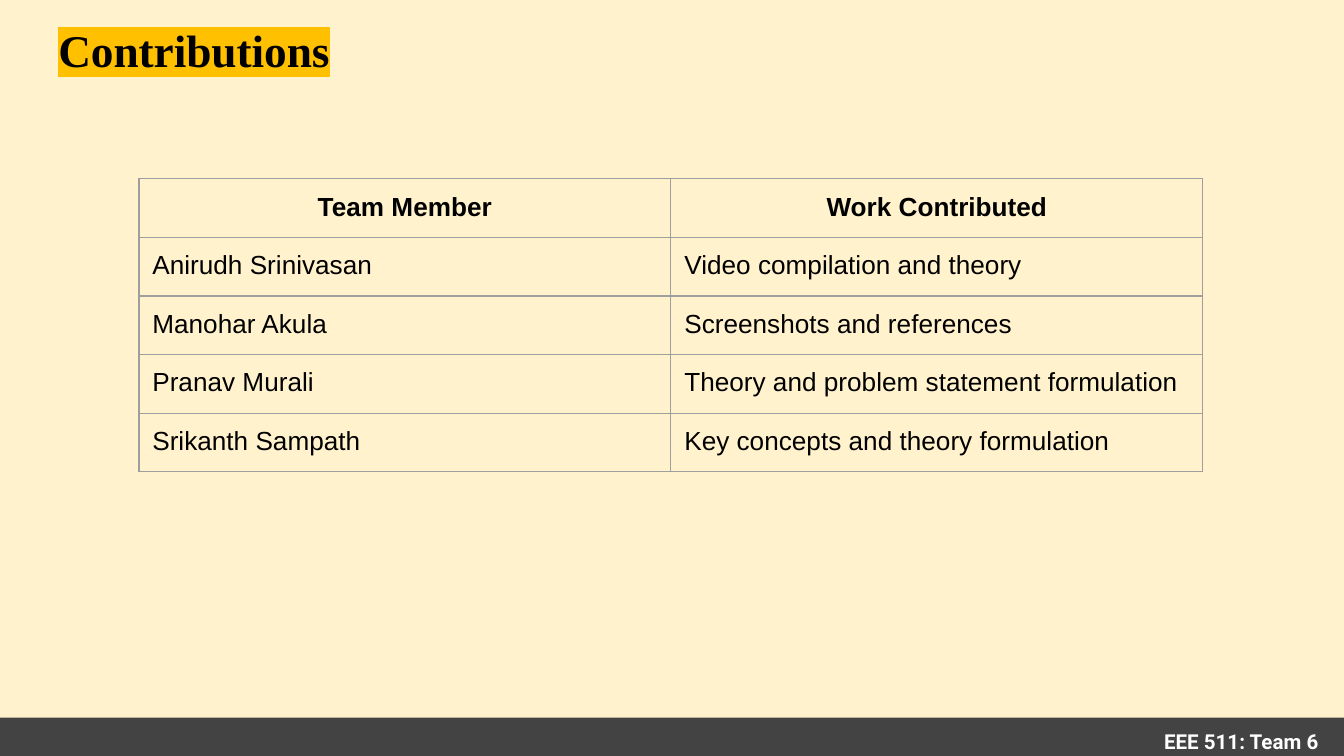
import pptx
import pptx.dml.color
import pptx.enum.shapes
import pptx.enum.text
import pptx.oxml
import pptx.oxml.ns
import pptx.util
from pptx.util import Pt

COLORS = {
    "page": "FFF2CC",
    "highlight": "FFC000",
    "bar": "434343",
    "border": "9E9E9E",
    "ink": "000000",
    "light": "FFFFFF",
}
ALIGN = pptx.enum.text.PP_ALIGN
ANCHOR = pptx.enum.text.MSO_ANCHOR
INSET = 7.2
ROWS = [
    ("Team Member", "Work Contributed"),
    ("Anirudh Srinivasan", "Video compilation and theory"),
    ("Manohar Akula", "Screenshots and references"),
    ("Pranav Murali", "Theory and problem statement formulation"),
    ("Srikanth Sampath", "Key concepts and theory formulation"),
]


def rgb(name):
    """Return the named colour."""
    return pptx.dml.color.RGBColor.from_string(COLORS[name])


def make_element(xml):
    """Parse one drawing element."""
    return pptx.oxml.parse_xml(xml.format(ns=pptx.oxml.ns.nsdecls("a")))


def set_margins(holder):
    """Give a text frame or cell equal insets."""
    for side in ("left", "top", "right", "bottom"):
        setattr(holder, f"margin_{side}", Pt(INSET))


def write_text(frame, text, font, size, color, bold, align):
    """Write one formatted paragraph and return its span."""
    para = frame.paragraphs[0]
    span = para.add_run()
    span.text = text
    para.alignment = align
    para.font.name = font
    para.font.size = Pt(size)
    para.font.bold = bold
    para.font.color.rgb = rgb(color)
    return span


def add_title(page, left, top, width, height):
    """Place the highlighted title."""
    title = page.shapes.title
    title.left, title.top = Pt(left), Pt(top)
    title.width, title.height = Pt(width), Pt(height)
    frame = title.text_frame
    frame.auto_size = pptx.enum.text.MSO_AUTO_SIZE.NONE
    frame.word_wrap = True
    frame.vertical_anchor = ANCHOR.BOTTOM
    set_margins(frame)
    span = write_text(frame, "Contributions", "Times New Roman", 24.3, "ink", True, ALIGN.LEFT)
    highlight = '<a:highlight {ns}><a:srgbClr val="%s"/></a:highlight>' % COLORS["highlight"]
    span.font.color.rgb = rgb("ink")
    span.font.fill._xPr.append(make_element(highlight))


def add_border(cell):
    """Draw a thin line on every side of a cell."""
    properties = cell._tc.get_or_add_tcPr()
    for index, side in enumerate(("lnL", "lnR", "lnT", "lnB")):
        line = make_element(
            f'<a:{side} {{ns}} w="{Pt(0.75)}"><a:solidFill>'
            f'<a:srgbClr val="{COLORS["border"]}"/></a:solidFill></a:{side}>'
        )
        properties.insert(index, line)


def add_contributions(page, left, top, width, height):
    """Place the table of members and their work."""
    table = page.shapes.add_table(
        len(ROWS), len(ROWS[0]), Pt(left), Pt(top), Pt(width), Pt(height)
    ).table
    table.horz_banding = False
    for row_index, texts in enumerate(ROWS):
        header = row_index == 0
        for column_index, text in enumerate(texts):
            cell = table.cell(row_index, column_index)
            cell.fill.background()
            set_margins(cell)
            add_border(cell)
            align = ALIGN.CENTER if header else ALIGN.LEFT
            write_text(cell.text_frame, text, "Arial", 14, "ink", header, align)


def add_footer(page, left, top, width, height):
    """Place the dark bar with the team label at its right end."""
    bar = page.shapes.add_shape(
        pptx.enum.shapes.MSO_SHAPE.RECTANGLE, Pt(left), Pt(top), Pt(width), Pt(height)
    )
    bar.shadow.inherit = False
    bar.fill.solid()
    bar.fill.fore_color.rgb = rgb("bar")
    bar.line.fill.background()
    label_width = 108
    label = page.shapes.add_textbox(
        Pt(left + width - label_width - 6.5), Pt(top - 0.7), Pt(label_width), Pt(23.8)
    )
    frame = label.text_frame
    frame.word_wrap = True
    set_margins(frame)
    write_text(frame, "EEE 511: Team 6", "Roboto", 11, "light", True, ALIGN.RIGHT)


def main():
    """Build the slide and save it."""
    deck = pptx.Presentation()
    deck.slide_width, deck.slide_height = Pt(720), Pt(405)
    page = deck.slides.add_slide(deck.slide_layouts[5])
    page.background.fill.solid()
    page.background.fill.fore_color.rgb = rgb("page")
    add_title(page, 24, 12.2, 671, 36)
    add_footer(page, 0, 384.5, 720, 21.5)
    add_contributions(page, 74.4, 95.8, 570, 157)
    deck.save("out.pptx")


if __name__ == "__main__":
    main()
